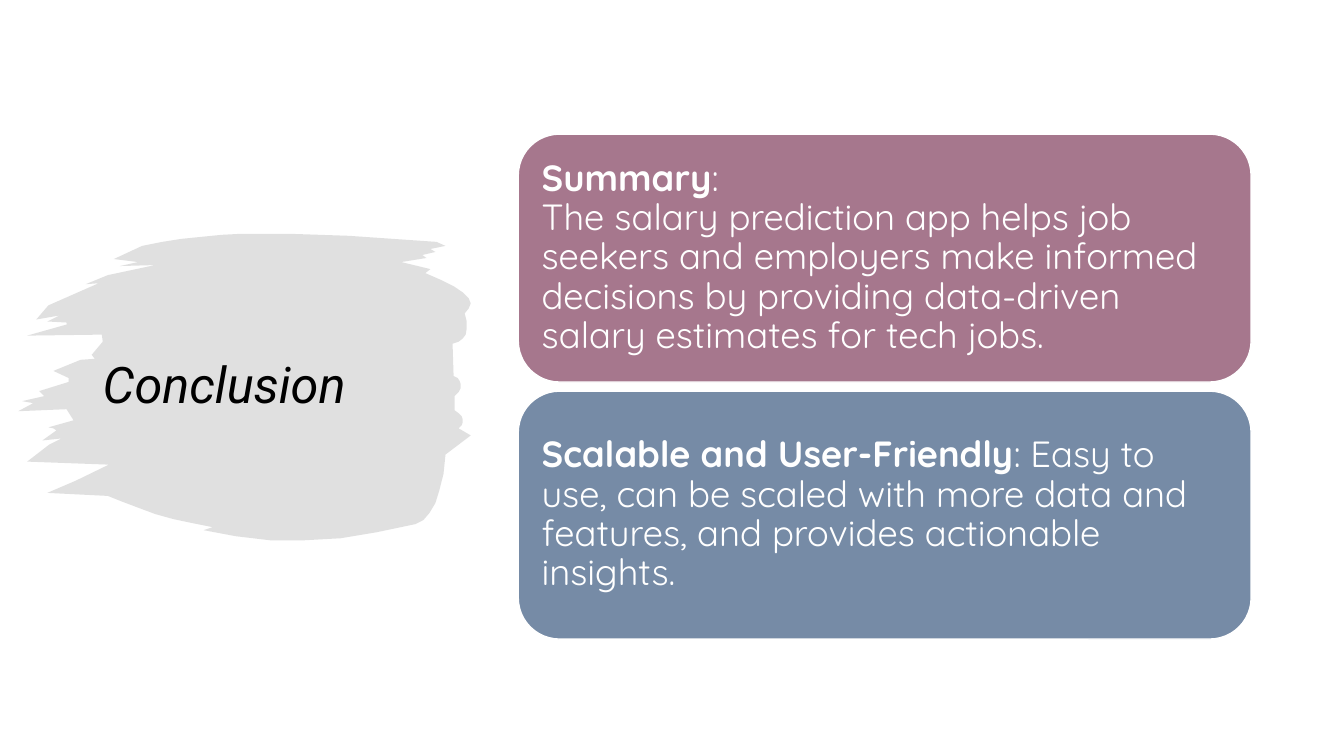
from itertools import chain

from lxml import etree
from pptx import Presentation
from pptx.dml.color import RGBColor
from pptx.enum import shapes, text
from pptx.oxml import ns
from pptx.util import Pt

COLORS = {
    "brush": "D9D9D9",
    "rose": "A6778D",
    "blue": "768BA6",
    "white": "FFFFFF",
    "black": "000000",
}
TITLE_FONT, CARD_FONT = "Roboto", "Quicksand"

# The brush stroke runs clockwise, in hundredths of an inch.
BRUSH_UNIT = Pt(0.72)
CURVE_STEPS = 6
# Smooth parts: start, bend, end.
TOP_CURVES = [
    ((141, 244), (200, 232), (259, 232)),
    ((259, 232), (345, 232), (433, 240)),
]
RIGHT_CURVES = [
    ((422, 271), (475, 292), (465, 306)),
    ((461, 311), (468, 338), (449, 341)),
    ((450, 373), (464, 379), (451, 393)),
    ((451, 407), (465, 416), (455, 425)),
]
BOTTOM_CURVES = [
    ((442, 451), (436, 512), (412, 520)),
    ((412, 520), (297, 549), (202, 526)),
    ((211, 523), (150, 512), (107, 492)),
]
# Ragged parts: root, tip, root.
RIGHT_TOP_BRISTLES = [
    ((433, 240), (442, 244), (427, 247)),
    ((427, 247), (432, 250), (419, 253)),
    ((419, 253), (423, 256), (398, 260)),
    ((398, 260), (427, 267), (422, 271)),
]
RIGHT_LOW_BRISTLES = [((455, 425), (467, 432), (442, 451))]
LEFT_BRISTLES = [
    ((107, 492), (47, 489), (75, 477)),
    ((108, 461), (27, 458), (49, 441)),
    ((61, 435), (42, 437), (56, 427)),
    ((53, 425), (48, 424), (73, 417)),
    ((66, 406), (18, 408), (33, 400)),
    ((33, 400), (22, 398), (44, 393)),
    ((44, 393), (39, 388), (68, 379)),
    ((68, 375), (53, 368), (80, 357)),
    ((94, 356), (91, 352), (102, 339)),
    ((101, 332), (27, 333), (66, 322)),
    ((66, 320), (47, 319), (59, 313)),
    ((59, 313), (36, 317), (48, 303)),
    ((98, 281), (85, 282), (107, 273)),
    ((154, 263), (119, 264), (137, 260)),
    ((137, 260), (113, 257), (141, 244)),
]

CARD_LEFT, CARD_TOP = 370.2, 95.8
CARD_WIDTH, CARD_HEIGHT, CARD_GAP = 523.5, 177.1, 6.5
CARD_MARGIN = 8
CARDS = [
    ("rose", "Summary",
     [":", "The salary prediction app helps job seekers and employers make informed "
           "decisions by providing data-driven salary estimates for tech jobs."]),
    ("blue", "Scalable and User-Friendly",
     [": Easy to use, can be scaled with more data and features, and provides "
      "actionable insights."]),
]


def color(name):
    return RGBColor.from_string(COLORS[name])


def curve_points(start, bend, end):
    """Points along a quadratic curve that is pulled towards bend."""
    fractions = [step / CURVE_STEPS for step in range(CURVE_STEPS + 1)]
    return [
        tuple((1 - t) ** 2 * a + 2 * t * (1 - t) * b + t ** 2 * c
              for a, b, c in zip(start, bend, end))
        for t in fractions
    ]


def brush_outline():
    smooth_top, smooth_right, smooth_bottom = (
        [point for curve in curves for point in curve_points(*curve)]
        for curves in (TOP_CURVES, RIGHT_CURVES, BOTTOM_CURVES)
    )
    return list(chain(
        smooth_top, *RIGHT_TOP_BRISTLES, smooth_right,
        *RIGHT_LOW_BRISTLES, smooth_bottom, *LEFT_BRISTLES,
    ))


def fill_shape(shape, color_name):
    shape.shadow.inherit = False
    shape.fill.solid()
    shape.fill.fore_color.rgb = color(color_name)


def set_opacity(shape, percent):
    fill_color = shape.element.find(".//" + ns.qn("a:srgbClr"))
    etree.SubElement(fill_color, ns.qn("a:alpha"), val=str(percent * 1000))


def start_paragraph(frame):
    """Prepare a left-aligned, vertically centred frame; return its paragraph."""
    frame.word_wrap = True
    frame.auto_size = text.MSO_AUTO_SIZE.NONE
    frame.vertical_anchor = text.MSO_ANCHOR.MIDDLE
    paragraph = frame.paragraphs[0]
    paragraph.alignment = text.PP_ALIGN.LEFT
    paragraph.line_spacing = 0.9
    return paragraph


def add_run(paragraph, words, font_name, size, color_name, bold=False, italic=False):
    run = paragraph.add_run()
    run.text = words
    font = run.font
    font.name, font.size = font_name, Pt(size)
    font.bold, font.italic = bold, italic
    font.color.rgb = color(color_name)


def add_brush_behind(slide, front_shape):
    first, *rest = brush_outline()
    builder = slide.shapes.build_freeform(*first, scale=BRUSH_UNIT)
    builder.add_line_segments(rest, close=True)
    brush = builder.convert_to_shape()
    fill_shape(brush, "brush")
    set_opacity(brush, 80)
    brush.line.fill.background()
    front_shape.element.addprevious(brush.element)


def format_title(title, words):
    title.left, title.top = Pt(66.2), Pt(118)
    title.width, title.height = Pt(253.4), Pt(316.8)
    paragraph = start_paragraph(title.text_frame)
    add_run(paragraph, words, TITLE_FONT, 36, "black", italic=True)


def add_card(slide, top, fill_name, heading, lines):
    card = slide.shapes.add_shape(
        shapes.MSO_SHAPE.ROUNDED_RECTANGLE,
        Pt(CARD_LEFT), Pt(top), Pt(CARD_WIDTH), Pt(CARD_HEIGHT))
    fill_shape(card, fill_name)
    card.line.color.rgb = color("white")
    card.line.width = Pt(1)
    frame = card.text_frame
    frame.margin_left = frame.margin_right = Pt(CARD_MARGIN)
    frame.margin_top = frame.margin_bottom = Pt(CARD_MARGIN)
    paragraph = start_paragraph(frame)
    add_run(paragraph, heading, CARD_FONT, 26, "white", bold=True)
    for index, line in enumerate(lines):
        if index:
            paragraph.add_line_break()
        add_run(paragraph, line, CARD_FONT, 26, "white")


def main():
    presentation = Presentation()
    presentation.slide_width, presentation.slide_height = Pt(960), Pt(540)
    title_only = presentation.slide_layouts.get_by_name("Title Only")
    slide = presentation.slides.add_slide(title_only)
    title = slide.shapes.title
    format_title(title, "Conclusion")
    add_brush_behind(slide, title)
    for index, card in enumerate(CARDS):
        add_card(slide, CARD_TOP + index * (CARD_HEIGHT + CARD_GAP), *card)
    presentation.save("out.pptx")


if __name__ == "__main__":
    main()
